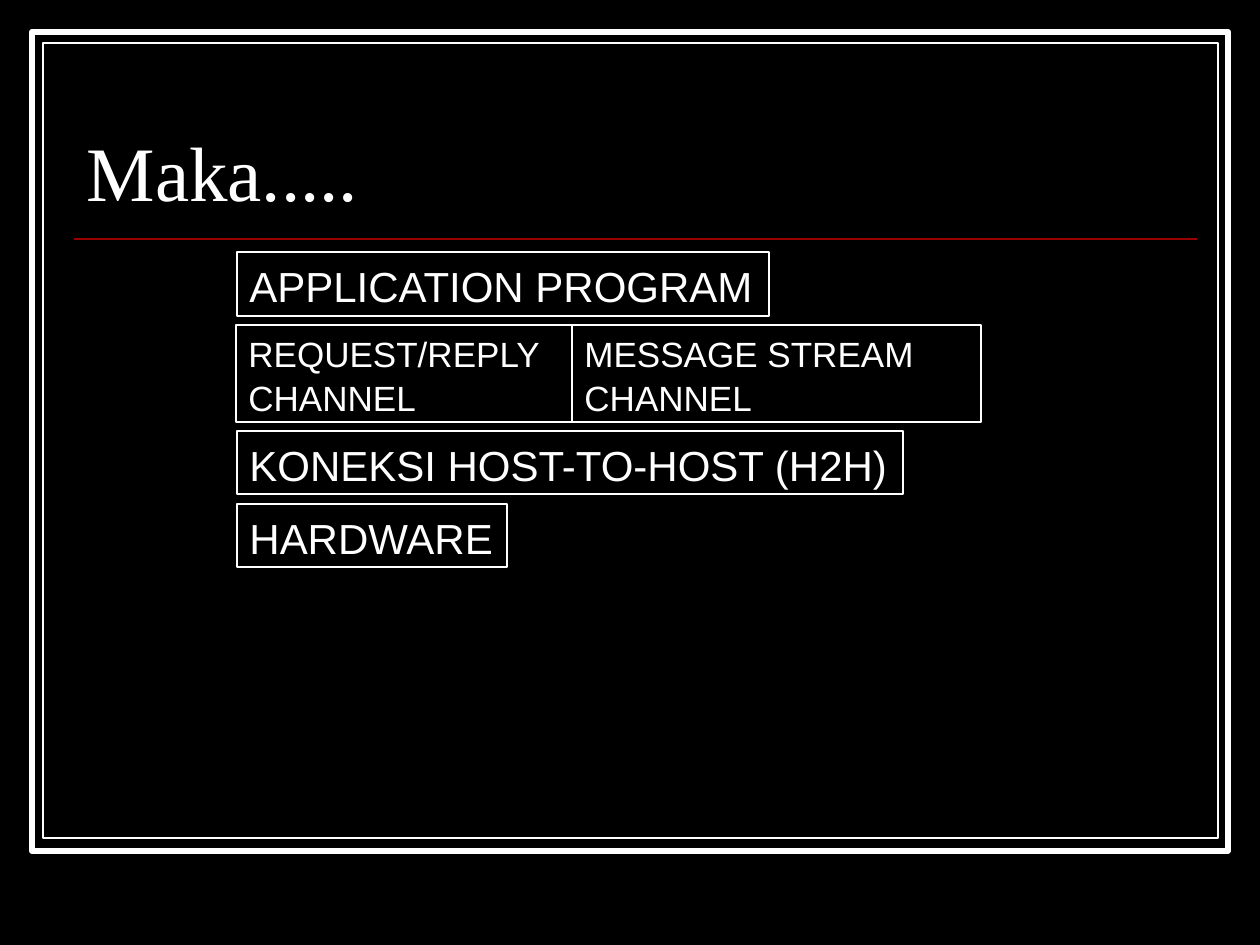
from pptx import Presentation
from pptx.dml.color import RGBColor
from pptx.enum.shapes import MSO_CONNECTOR, MSO_SHAPE
from pptx.enum.text import MSO_ANCHOR, PP_ALIGN
from pptx.oxml.ns import qn
from pptx.util import Pt
from lxml.etree import SubElement

PX = 914400 // 126
WHITE, BLACK, RED = "FFFFFF", "000000", "990000"


def color(code):
    return RGBColor.from_string(code)


def write(shape, text, size=24, font="Arial", space=1.04, anchor=MSO_ANCHOR.TOP, wrap=True):
    frame = shape.text_frame
    frame.word_wrap = wrap
    frame.vertical_anchor = anchor
    par = frame.paragraphs[0]
    par.alignment = PP_ALIGN.LEFT
    par.line_spacing = space
    run = par.add_run()
    run.text = text
    run.font.size = Pt(size)
    run.font.name = font
    run.font.color.rgb = color(WHITE)


deck = Presentation()
deck.slide_width, deck.slide_height = 1260 * PX, 945 * PX
slide = deck.slides.add_slide(deck.slide_layouts[5])
slide.background.fill.solid()
slide.background.fill.fore_color.rgb = color(BLACK)
shapes = slide.shapes

# Double frame
for edge, wide, high, weight in [(32, 1196, 819, 3.5), (43, 1175, 795, 0.75)]:
    frame = shapes.add_shape(MSO_SHAPE.RECTANGLE, edge * PX, edge * PX, wide * PX, high * PX)
    frame.shadow.inherit = False
    frame.fill.solid()
    frame.fill.fore_color.rgb = color(BLACK)
    frame.line.color.rgb = color(WHITE)
    frame.line.width = Pt(weight)

# Rule under the title
rule = shapes.add_connector(MSO_CONNECTOR.STRAIGHT, 74 * PX, 239 * PX, 1197 * PX, 239 * PX)
rule.line.color.rgb = color(RED)
rule.line.width = Pt(1)
SubElement(rule._element.spPr, qn("a:effectLst"))

# Title, brought in front of the frame
title = shapes.title
title.left, title.top, title.width, title.height = 74 * PX, 66 * PX, 1123 * PX, 157 * PX
write(title, "Maka.....", size=44, font="Times New Roman", space=0.8, anchor=MSO_ANCHOR.BOTTOM)
shapes._spTree.append(title._element)

# Layers of the system
layers = [
    ("APPLICATION PROGRAM", 237, 252, 532, 64, 24),
    ("REQUEST/REPLY CHANNEL", 236, 325, 336, 97, 20),
    ("MESSAGE STREAM CHANNEL", 572, 325, 409, 97, 20),
    ("KONEKSI HOST-TO-HOST (H2H)", 237, 431, 666, 63, 24),
    ("HARDWARE", 237, 504, 270, 63, 24),
]
for text, left, top, wide, high, size in layers:
    box = shapes.add_shape(MSO_SHAPE.RECTANGLE, left * PX, top * PX, wide * PX, high * PX)
    box.shadow.inherit = False
    box.fill.background()
    box.line.color.rgb = color(WHITE)
    box.line.width = Pt(1)
    write(box, text, size=size, wrap=size == 20)

deck.save("out.pptx")
